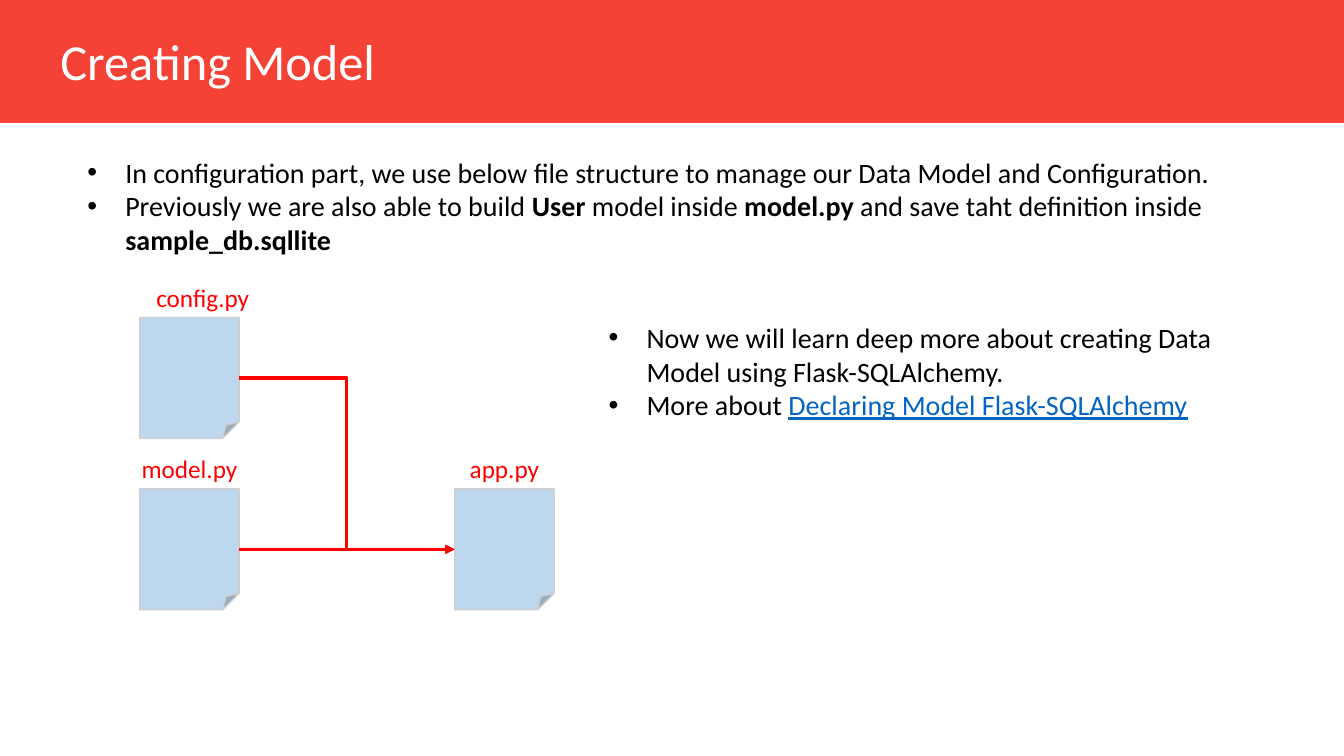
from dataclasses import dataclass

from pptx import Presentation
from pptx.dml.color import RGBColor
from pptx.enum.shapes import MSO_CONNECTOR, MSO_SHAPE
from pptx.enum.text import PP_ALIGN
from pptx.oxml.ns import qn
from pptx.util import Pt
from lxml import etree

RECT = MSO_SHAPE.RECTANGLE
FILE = MSO_SHAPE.FOLDED_CORNER
STRAIGHT = MSO_CONNECTOR.STRAIGHT
ELBOW = MSO_CONNECTOR.ELBOW
LEFT = PP_ALIGN.LEFT
CENTER = PP_ALIGN.CENTER
LEFT_SIDE, RIGHT_SIDE = 1, 3


@dataclass(frozen=True)
class Theme:
    font: str = "Calibri"
    title: int = 36
    body: int = 20
    label: int = 18
    banner: str = "F44336"
    white: str = "FFFFFF"
    black: str = "000000"
    red: str = "FF0000"
    paper: str = "BDD7EE"
    edge: str = "D0CECE"
    link: str = "0563C1"


THEME = Theme()


def paint(color):
    return RGBColor.from_string(color)


def add_box(slide, kind, box, fill, edge=None):
    shape = slide.shapes.add_shape(kind, *map(Pt, box))
    shape.shadow.inherit = False
    shape.fill.solid()
    shape.fill.fore_color.rgb = paint(fill)
    if edge:
        shape.line.color.rgb = paint(edge)
        shape.line.width = Pt(1)
    else:
        shape.line.fill.background()
    return shape


def add_frame(slide, box, wrap=True):
    frame = slide.shapes.add_textbox(*map(Pt, box)).text_frame
    frame.word_wrap = wrap
    return frame


def style(para, size, color, align=LEFT):
    para.alignment = align
    para.font.name = THEME.font
    para.font.size = Pt(size)
    para.font.color.rgb = paint(color)


def add_banner(slide, box):
    left, top, width, height = box
    add_box(slide, RECT, box, THEME.banner)
    frame = add_frame(slide, (left + 36, top + 18.7, 289, 51), False)
    para = frame.paragraphs[0]
    para.text = "Creating Model"
    style(para, THEME.title, THEME.white)


def add_bullets(slide, box, items):
    frame = add_frame(slide, box)
    for index, item in enumerate(items):
        para = frame.add_paragraph() if index else frame.paragraphs[0]
        style(para, THEME.body, THEME.black)
        props = para._p.get_or_add_pPr()
        props.set("marL", str(Pt(27)))
        props.set("indent", str(Pt(-27)))
        bullet = etree.Element(qn("a:buFont"), typeface="Arial")
        props.insert(0, bullet)
        bullet.addnext(etree.Element(qn("a:buChar"), char="•"))
        for text, kind in item:
            run = para.add_run()
            run.text = text
            if kind == "bold":
                run.font.bold = True
            elif kind == "link":
                run.font.underline = True
                run.font.color.rgb = paint(THEME.link)


def add_file(slide, box, name, shift=0):
    left, top, width, height = box
    sheet = add_box(slide, FILE, box, THEME.paper, THEME.edge)
    wide = 90
    place = (left + (width - wide) / 2 + shift, top - 28.8, wide, 28.8)
    para = add_frame(slide, place).paragraphs[0]
    para.text = name
    style(para, THEME.label, THEME.red, CENTER)
    return sheet


def add_arrow(slide, kind, start, end):
    arrow = slide.shapes.add_connector(kind, 0, 0, 0, 0)
    arrow.begin_connect(start, RIGHT_SIDE)
    arrow.end_connect(end, LEFT_SIDE)
    arrow.line.color.rgb = paint(THEME.red)
    arrow.line.width = Pt(2.25)
    etree.SubElement(arrow.line._get_or_add_ln(), qn("a:tailEnd"), type="triangle")
    etree.SubElement(arrow._element.spPr, qn("a:effectLst"))


def add_diagram(slide, box):
    left, top, width, height = box
    wide, tall = 71, 86.4
    right, low = left + width - wide, top + height - tall
    config = add_file(slide, (left, top + 28.8, wide, tall), "config.py", 9.5)
    model = add_file(slide, (left, low, wide, tall), "model.py")
    app = add_file(slide, (right, low, wide, tall), "app.py")
    add_arrow(slide, STRAIGHT, model, app)
    add_arrow(slide, ELBOW, config, app)


def main():
    deck = Presentation()
    deck.slide_width, deck.slide_height = Pt(960), Pt(540)
    slide = deck.slides.add_slide(deck.slide_layouts[6])
    add_banner(slide, (0, -0.7, 961, 88.6))
    add_diagram(slide, (99.8, 198, 296, 237.6))
    add_bullets(slide, (55.4, 107.3, 862, 80), [
        [("In configuration part, we use below file structure to manage "
          "our Data Model and Configuration.", "")],
        [("Previously we are also able to build ", ""), ("User ", "bold"),
         ("model inside ", ""), ("model.py", "bold"),
         (" and save taht definition inside ", ""),
         ("sample_db.sqllite", "bold")],
    ])
    add_bullets(slide, (427.7, 225.4, 497.5, 80), [
        [("Now we will learn deep more about creating Data Model using "
          "Flask-SQLAlchemy.", "")],
        [("More about ", ""), ("Declaring Model Flask-SQLAlchemy", "link")],
    ])
    deck.save("out.pptx")


if __name__ == "__main__":
    main()
